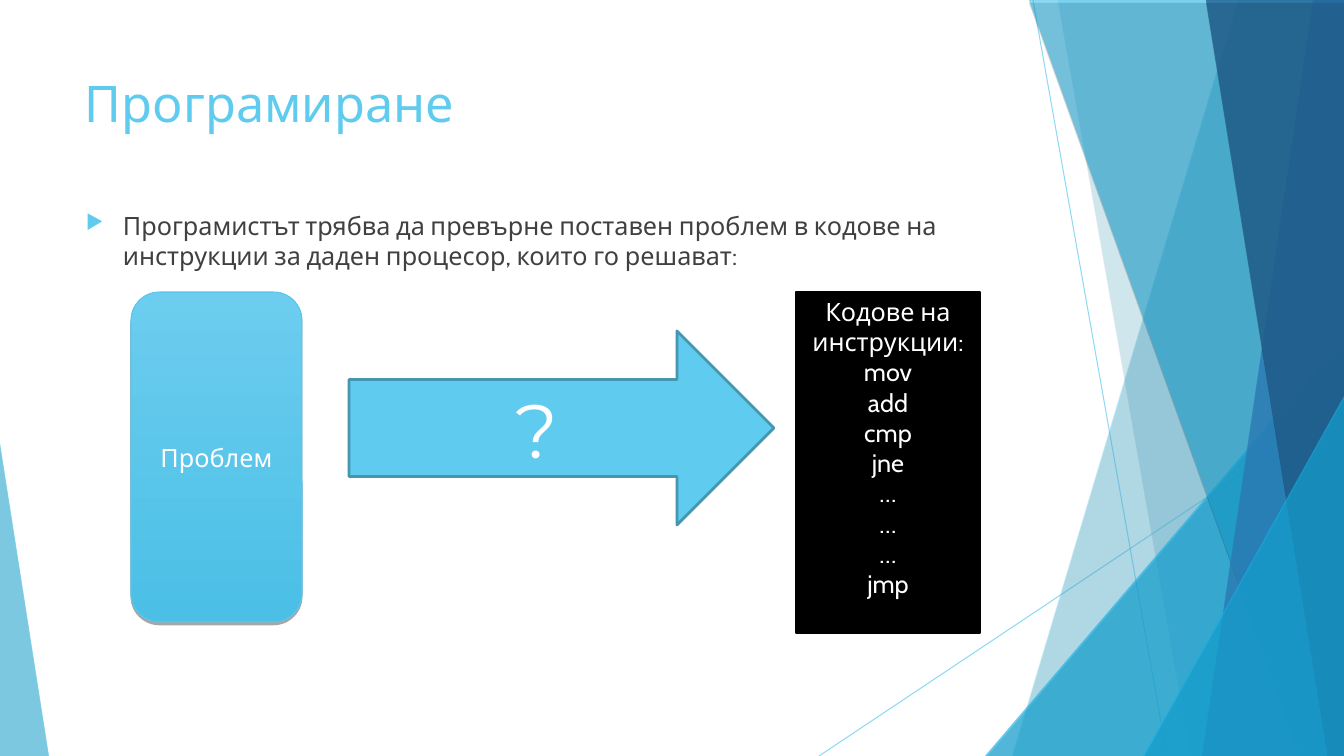
from lxml.etree import SubElement
from pptx import Presentation
from pptx.dml.color import RGBColor
from pptx.enum.shapes import MSO_CONNECTOR, MSO_SHAPE as SHAPE
from pptx.enum.text import MSO_ANCHOR as ANCHOR, PP_ALIGN as ALIGN
from pptx.oxml.ns import qn
from pptx.util import Pt

EMU_PER_PX = 914400 / 100.8
COLORS = {
    "sky": "5FCBEF", "cyan": "17B0E4", "blue": "2E83C3", "navy": "226292",
    "arrow_edge": "4696B0", "card_edge": "58C8ED", "card_low": "4BBFE6",
    "card_high": "6CCDEF", "text": "404040", "white": "FFFFFF", "black": "000000",
}
BODY_FONT, MARK_FONT = "Cabin", "Montserrat"
INSTRUCTIONS = ["Кодове на инструкции:", "mov", "add", "cmp", "jne", "…", "…", "…", "jmp"]
BANDS = [
    ("band", "sky", 36, 419, 193),
    ("band", "sky", 20, 239, 372),
    ("corner", "cyan", 66, 166, 336),
    ("band", "cyan", 50, 210, 482),
    ("band", "blue", 70, 494, 383),
    ("band", "navy", 80, 387, 509),
    ("corner", "cyan", 66, 324, 396),
]
RAYS = [((214, 0), (348, 756)), ((525, 406), (0, 756))]


def px(*lengths):
    """Turn lengths in px into EMU."""
    return [round(length * EMU_PER_PX) for length in lengths]


def rgb(name):
    """Look up a colour by name."""
    return RGBColor.from_string(COLORS[name])


def add_node(parent, tag, **attributes):
    """Append a drawing element with the given attributes."""
    return SubElement(parent, qn(tag), {key: str(value) for key, value in attributes.items()})


def set_opacity(shape, percent):
    """Make the only solid colour of a shape partly transparent."""
    color = next(shape.element.spPr.iter(qn("a:srgbClr")))
    add_node(color, "a:alpha", val=percent * 1000)


def drop_shadow(shape):
    """Give a shape a faint shadow straight below it."""
    shape.shadow.inherit = False
    effects = shape.element.spPr.find(qn("a:effectLst"))
    shadow = add_node(effects, "a:outerShdw", blurRad=0, dist=Pt(2), dir=5400000, rotWithShape=0)
    color = add_node(shadow, "a:srgbClr", val=COLORS["black"])
    add_node(color, "a:alpha", val=35000)


def write(shape, text, size, color, font=BODY_FONT, align=ALIGN.LEFT, anchor=ANCHOR.TOP):
    """Put formatted text into a shape."""
    frame = shape.text_frame
    frame.text = text
    frame.word_wrap = True
    frame.vertical_anchor = anchor
    for para in frame.paragraphs:
        para.alignment = align
        for span in para.runs:
            span.font.size = Pt(size)
            span.font.name = font
            span.font.color.rgb = rgb(color)
    return frame


def add_block(slide, kind, box, fill, edge, width):
    """Add a filled preset shape with an outline and no shadow."""
    shape = slide.shapes.add_shape(kind, *px(*box))
    shape.shadow.inherit = False
    shape.fill.solid()
    shape.fill.fore_color.rgb = rgb(fill)
    shape.line.color.rgb = rgb(edge)
    shape.line.width = Pt(width)
    return shape


def finish_facet(facet, color, opacity):
    """Colour one see-through facet."""
    facet.fill.solid()
    facet.fill.fore_color.rgb = rgb(color)
    set_opacity(facet, opacity)
    facet.line.fill.background()
    drop_shadow(facet)


def add_triangle(slide, box, apex, color, opacity):
    """Add a see-through right triangle with its apex at one side."""
    triangle = slide.shapes.add_shape(SHAPE.ISOSCELES_TRIANGLE, *px(*box))
    triangle.adjustments[0] = apex
    finish_facet(triangle, color, opacity)


def add_band(slide, points, color, opacity):
    """Add a see-through four-sided band."""
    first, *others = [px(*point) for point in points]
    builder = slide.shapes.build_freeform(*first, scale=1.0)
    builder.add_line_segments(others, close=True)
    finish_facet(builder.convert_to_shape(), color, opacity)


def add_facets(slide, box):
    """Draw the fan of rays and facets against the right side of the box."""
    left, top, width, height = box
    right, bottom = left + width, top + height
    for (x1, y1), (x2, y2) in RAYS:
        ends = px(left + x1, top + y1, left + x2, top + y2)
        ray = slide.shapes.add_connector(MSO_CONNECTOR.STRAIGHT, *ends)
        ray.line.color.rgb = rgb("sky")
        ray.line.width = Pt(0.75)
        set_opacity(ray, 70)
        add_node(ray.element.spPr, "a:effectLst")
    for kind, color, opacity, start, end in BANDS:
        if kind == "band":
            points = [(left + start, top), (right, top), (right, bottom), (left + end, bottom)]
            add_band(slide, points, color, opacity)
        else:
            corner = (left + start, top + end, width - start, height - end)
            add_triangle(slide, corner, 1, color, opacity)


def add_title(slide, box):
    """Add the slide title."""
    write(slide.shapes.add_textbox(*px(*box)), "Програмиране", 36, "sky")


def add_statement(slide, box):
    """Add the bulleted statement."""
    text = "Програмистът трябва да превърне поставен проблем в кодове на инструкции за даден процесор, които го решават:"
    para = write(slide.shapes.add_textbox(*px(*box)), text, 18, "text").paragraphs[0]
    para.space_before = Pt(10)
    margin, indent = px(38, -37)
    props = para._p.get_or_add_pPr()
    props.set("marL", str(margin))
    props.set("indent", str(indent))
    add_node(add_node(props, "a:buClr"), "a:srgbClr", val=COLORS["sky"])
    add_node(props, "a:buSzPct", val=80000)
    add_node(props, "a:buChar", char="▶")


def add_diagram(slide, box):
    """Draw the problem card, the instruction list and the arrow between them."""
    left, top, width, height = box
    card = add_block(slide, SHAPE.ROUNDED_RECTANGLE, (left, top, 171, 330), "sky", "card_edge", 0.75)
    card.fill.gradient()
    card.fill.gradient_angle = 90
    for stop, color in zip(card.fill.gradient_stops, ("card_low", "card_high")):
        stop.color.rgb = rgb(color)
    low, high = card.fill.gradient_stops
    low.position, high.position = 0, 1
    drop_shadow(card)
    write(card, "Проблем", 18, "white", align=ALIGN.CENTER, anchor=ANCHOR.MIDDLE)

    list_box = (left + width - 184, top, 184, height)
    listing = add_block(slide, SHAPE.FLOWCHART_PROCESS, list_box, "black", "black", 2)
    frame = write(listing, "\n".join(INSTRUCTIONS), 18, "white", align=ALIGN.CENTER, anchor=ANCHOR.MIDDLE)
    frame.margin_bottom = px(35)[0]

    arrow_box = (left + 218, top + 39, 425, 194)
    arrow = add_block(slide, SHAPE.RIGHT_ARROW, arrow_box, "sky", "arrow_edge", 2)
    write(arrow, "?", 54, "white", MARK_FONT, ALIGN.CENTER, ANCHOR.MIDDLE)


def main():
    """Build the slide and save it."""
    deck = Presentation()
    deck.slide_width, deck.slide_height = px(1344, 756)
    slide = deck.slides.add_slide(deck.slide_layouts[6])
    add_facets(slide, (819, 0, 525, 756))
    add_triangle(slide, (0, 443, 49, 313), 0, "sky", 70)
    add_title(slide, (75, 67, 948, 145))
    add_statement(slide, (75, 205, 948, 461))
    add_diagram(slide, (131, 292, 849, 341))
    deck.save("out.pptx")


if __name__ == "__main__":
    main()
